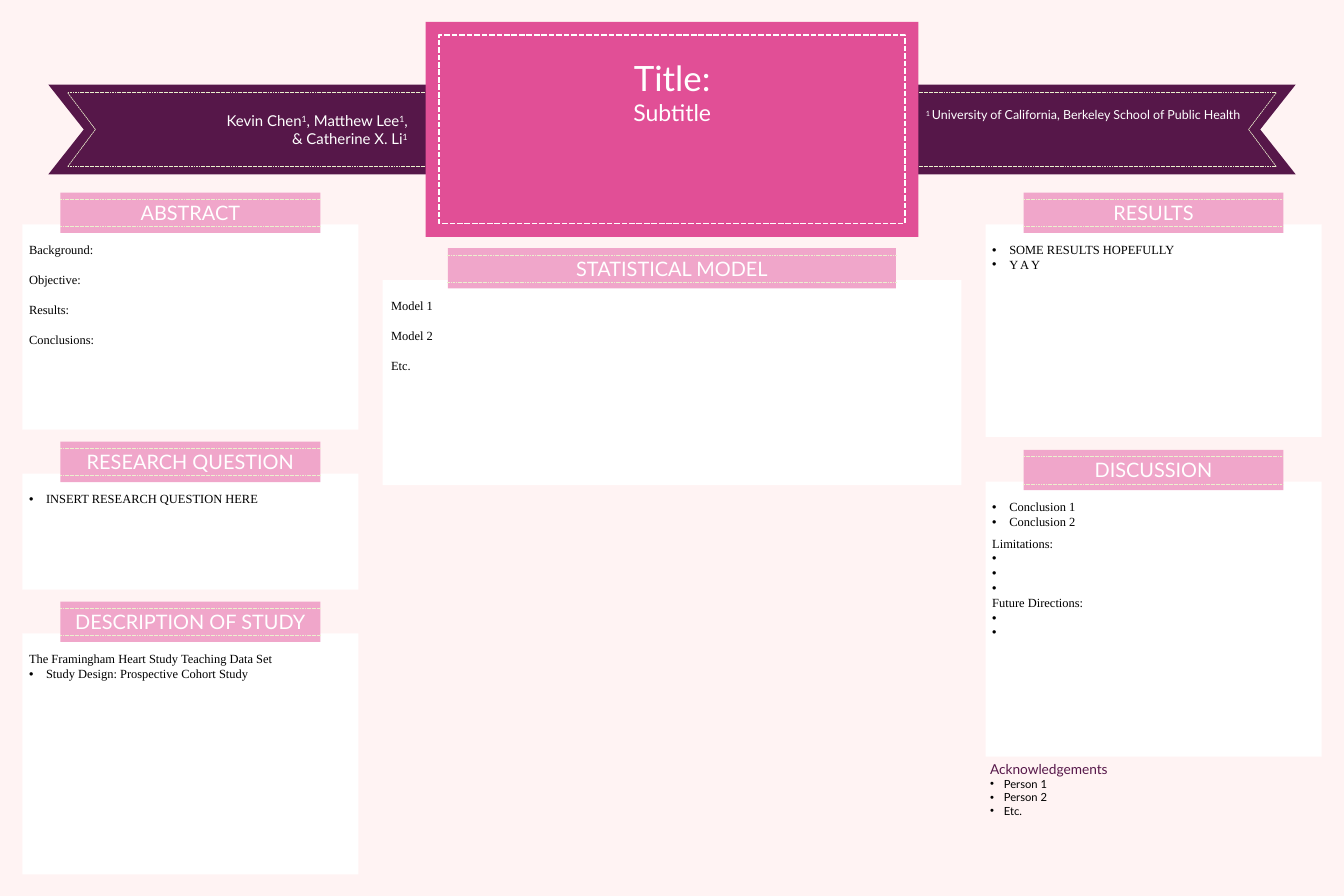
from dataclasses import dataclass

from lxml import etree
from pptx import Presentation, util as u
from pptx.dml.color import RGBColor
from pptx.enum import dml, shapes, text
from pptx.oxml.ns import qn


@dataclass(frozen=True)
class Theme:
    page: str = "FFF3F3"
    ribbon: str = "561749"
    title: str = "E14F96"
    tag: str = "F0A6CA"
    stitch: str = "EBF1CE"
    white: str = "FFFFFF"
    black: str = "000000"
    sans: str = "Lato"
    serif: str = "Times New Roman"
    title_size: int = 56
    subtitle_size: int = 37
    tag_size: int = 32
    author_size: int = 24
    thanks_size: int = 22
    body_size: int = 20
    small_size: int = 18


theme = Theme()
prs = Presentation()
prs.slide_width, prs.slide_height = u.Inches(30), u.Inches(20)
s = prs.slides.add_slide(prs.slide_layouts[6])
s.background.fill.solid()
s.background.fill.fore_color.rgb = RGBColor.from_string(theme.page)


def add_text(box, paragraphs, **common):
    """Each paragraph is (text, own format); ^ marks switch superscript on and off."""
    tf = s.shapes.add_textbox(*map(u.Inches, box)).text_frame
    tf.word_wrap = True
    for i, (content, own) in enumerate(paragraphs):
        f = {"font": theme.sans, "color": theme.white, **common, **own}
        p = tf.paragraphs[0] if i == 0 else tf.add_paragraph()
        p.alignment = f.get("align", text.PP_ALIGN.LEFT)
        p.space_after = u.Pt(f.get("after", 0))
        if "leading" in f:
            p.line_spacing = u.Pt(f["leading"])
        if "bullet" in f:
            pPr = p._p.get_or_add_pPr()
            pPr.set("marL", str(u.Inches(f["bullet"])))
            pPr.set("indent", str(-u.Inches(f["bullet"])))
            etree.SubElement(pPr, qn("a:buFont")).set("typeface", "Arial")
            etree.SubElement(pPr, qn("a:buChar")).set("char", "•")
        for j, part in enumerate(content.split("^")):
            if not part:
                continue
            r = p.add_run()
            r.text = part
            r.font.name, r.font.size = f["font"], u.Pt(f["size"])
            r.font.color.rgb = RGBColor.from_string(f["color"])
            if j % 2:
                r._r.get_or_add_rPr().set("baseline", "30000")


def add_item(kind, box, color):
    """Add a filled "rect", a dashed "frame", or a dashed "stitch" from (x1, y1) to (x2, y2)."""
    lengths = map(u.Inches, box)
    if kind == "stitch":
        sp = s.shapes.add_connector(shapes.MSO_CONNECTOR.STRAIGHT, *lengths)
        etree.SubElement(sp._element.spPr, qn("a:effectLst"))
    else:
        sp = s.shapes.add_shape(shapes.MSO_SHAPE.RECTANGLE, *lengths)
        sp.shadow.inherit = False
    if kind == "rect":
        sp.fill.solid()
        sp.fill.fore_color.rgb = RGBColor.from_string(color)
        sp.line.fill.background()
        return
    if kind == "frame":
        sp.fill.background()
    sp.line.color.rgb = RGBColor.from_string(color)
    sp.line.width = u.Pt(3 if kind == "frame" else 1)
    sp.line.dash_style = dml.MSO_LINE.SQUARE_DOT


# Ribbon: the right tail mirrors the left one about the middle of the slide
tail = [(9.6, 1.89), (1.08, 1.89), (1.87, 2.89), (1.08, 3.89), (9.6, 3.89)]
seam = [(10.48, 2.07), (1.51, 2.07), (2.13, 2.89), (1.51, 3.72), (10.48, 3.72)]
for mirrored in (False, True):
    outline, stitches = (
        [(30 - x if mirrored else x, y) for x, y in points] for points in (tail, seam)
    )
    corners = [(u.Inches(x), u.Inches(y)) for x, y in outline]
    builder = s.shapes.build_freeform(*corners[0])
    builder.add_line_segments(corners[1:], close=True)
    sp = builder.convert_to_shape()
    sp.shadow.inherit = False
    sp.fill.solid()
    sp.fill.fore_color.rgb = RGBColor.from_string(theme.ribbon)
    sp.line.fill.background()
    for start, end in zip(stitches, stitches[1:]):
        add_item("stitch", start + end, theme.stitch)

add_text((4, 2.45, 5.2, 0.91),
         [("Kevin Chen^1^, Matthew Lee^1^,", {}), ("& Catherine X. Li^1", {})],
         size=theme.author_size, align=text.PP_ALIGN.RIGHT)
add_text((20.57, 2.35, 7.68, 0.44),
         [("^1 ^University of California, Berkeley School of Public Health", {})],
         size=theme.body_size)

# Title block
add_item("rect", (9.5, 0.49, 11, 4.8), theme.title)
add_item("frame", (9.8, 0.79, 10.4, 4.2), theme.white)
add_text((10.23, 1.21, 9.55, 1.67),
         [("Title:", {"size": theme.title_size}), ("Subtitle", {"size": theme.subtitle_size})],
         align=text.PP_ALIGN.CENTER)

# Columns: left, width, tag width, text margin, top, gap, panels
# Panels: heading, white area height, text height, paragraphs
bullet = {"bullet": 0.38}
spaced = {"after": 24}
columns = [
    (0.5, 7.5, 5.8, 0.05, 4.3, 0.27, [
        ("ABSTRACT", 4.58, 2.46,
         [("Background:", spaced), ("Objective:", spaced), ("Results:", spaced),
          ("Conclusions:", {})]),
        ("RESEARCH QUESTION", 2.59, 0.77, [("INSERT RESEARCH QUESTION HERE", bullet)]),
        ("DESCRIPTION OF STUDY", 5.38, 1.11,
         [("The Framingham Heart Study Teaching Data Set", {}),
          ("Study Design: Prospective Cohort Study", bullet)]),
    ]),
    (8.54, 12.92, 10, 0.09, 5.54, 0, [
        ("STATISTICAL MODEL", 4.58, 2.46,
         [("Model 1", spaced), ("Model 2", spaced), ("Etc.", {})]),
    ]),
    (22, 7.5, 5.8, 0.05, 4.3, 0.29, [
        ("RESULTS", 4.74, 0.77, [("SOME RESULTS HOPEFULLY", bullet), ("Y A Y", bullet)]),
        ("DISCUSSION", 6.14, 3.27,
         [("Conclusion 1", bullet), ("Conclusion 2", {**bullet, "after": 10}),
          ("Limitations:", {}), *[(" ", bullet)] * 3,
          ("Future Directions:", {}), *[(" ", bullet)] * 2]),
    ]),
]
for left, width, tag_width, margin, top, gap, panels in columns:
    tag_left = left + (width - tag_width) / 2
    for heading, height, text_height, paragraphs in panels:
        add_item("rect", (left, top + 0.71, width, height), theme.white)
        add_item("rect", (tag_left, top, tag_width, 0.9), theme.tag)
        for y in (top + 0.15, top + 0.76):
            add_item("stitch", (tag_left + tag_width + 0.02, y, tag_left - 0.02, y), theme.stitch)
        add_text((tag_left, top + 0.13, tag_width, 0.64), [(heading, {})],
                 size=theme.tag_size, align=text.PP_ALIGN.CENTER)
        add_text((left + margin, top + 1.06, width - 2 * margin, text_height), paragraphs,
                 size=theme.body_size, font=theme.serif, color=theme.black, leading=24)
        top += 0.71 + height + gap

add_text((22, 16.93, 6.25, 1.38),
         [("Acknowledgements", {"size": theme.thanks_size, "color": theme.ribbon}),
          *[(name, {"bullet": 0.31}) for name in ("Person 1", "Person 2", "Etc.")]],
         size=theme.small_size, color=theme.black)

prs.save("out.pptx")
